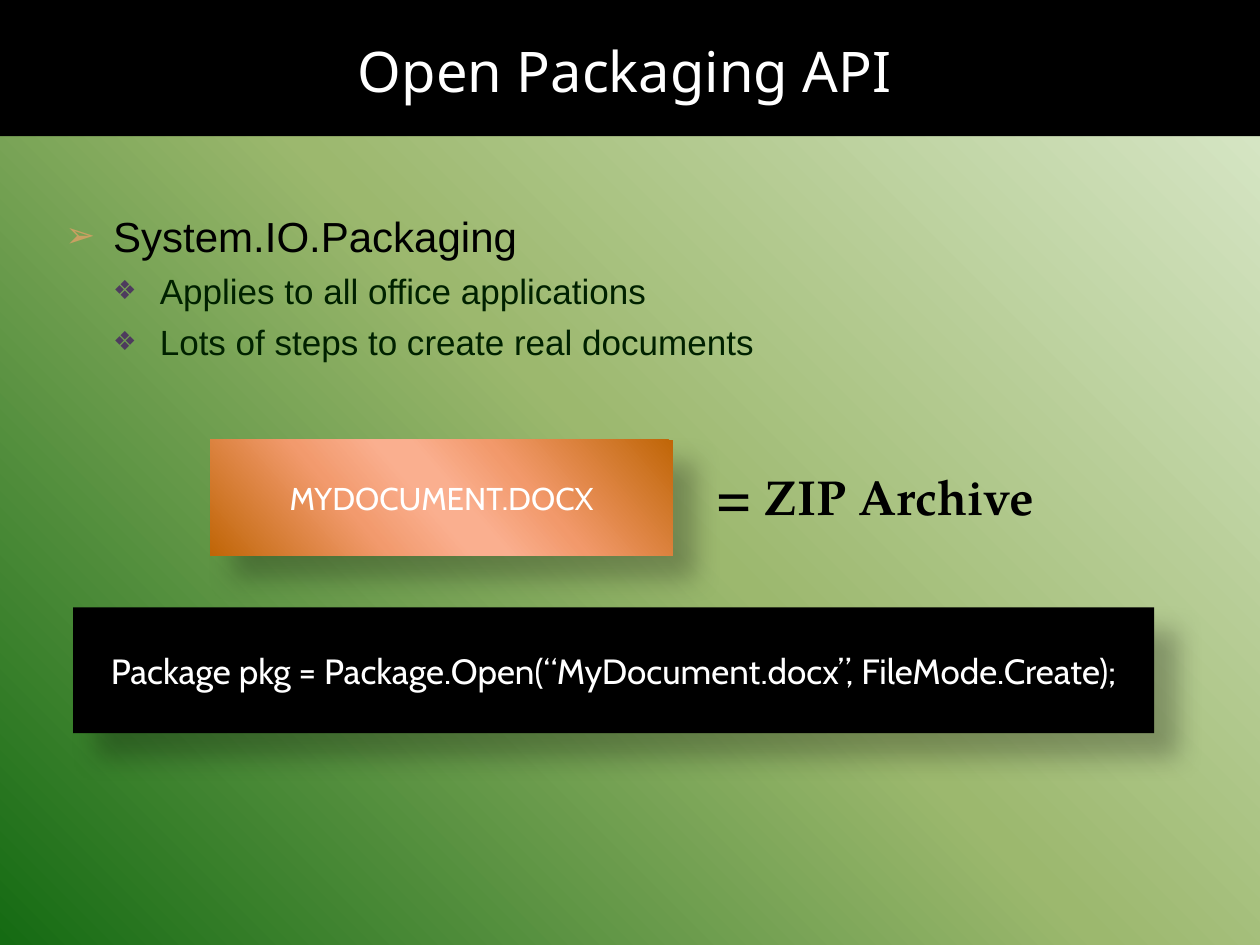
from dataclasses import dataclass

from lxml import etree
from pptx import Presentation
from pptx import util as u
from pptx.dml.color import RGBColor
from pptx.enum import shapes, text
from pptx.oxml.ns import qn


@dataclass(frozen=True)
class Theme:
    black: str = "000000"
    white: str = "FFFFFF"
    detail: str = "002100"
    arrow_bullet: str = "C9A062"
    diamond_bullet: str = "4E3B5E"
    backdrop: tuple = ((0, "DDEBCF"), (50, "9CB86E"), (100, "156B13"))
    copper: tuple = ((0, "C06607"), (33, "F2996B"), (47, "FAAF8F"),
                     (53, "FAAF8F"), (68, "F29A6D"), (100, "C06607"))
    heading_font: str = "Noto Sans"
    body_font: str = "Arial"
    box_font: str = "Cabin"
    serif_font: str = "TeX Gyre Pagella"
    heading_size: int = 32
    formula_size: int = 28
    topic_size: int = 24
    detail_size: int = 20
    file_size: int = 18


def add_xml(parent, tag, **attributes):
    element = etree.SubElement(parent, qn(tag))
    for name, value in attributes.items():
        element.set(name, str(value))
    return element


def write(paragraph, content, *, font, size, color, bold=False, align=None):
    paragraph.text = content
    paragraph.alignment = align
    paragraph.font.name = font
    paragraph.font.size = u.Pt(size)
    paragraph.font.bold = bold
    paragraph.font.color.rgb = RGBColor.from_string(color)


def paint(fill, paint_spec, angle=0):
    if isinstance(paint_spec, str):
        fill.solid()
        fill.fore_color.rgb = RGBColor.from_string(paint_spec)
        return
    fill.gradient()
    fill.gradient_angle = 360 - angle
    stops = fill.gradient_stops._gsLst
    for stop in list(stops):
        stops.remove(stop)
    for position, color in paint_spec:
        stop = add_xml(stops, "a:gs", pos=position * 1000)
        add_xml(stop, "a:srgbClr", val=color)


class SlideBuilder:
    def __init__(self, slide, theme):
        self.slide = slide
        self.theme = theme

    def backdrop(self):
        paint(self.slide.background.fill, self.theme.backdrop, 135)

    def place(self, left, top, width, height):
        return [u.Inches(length) for length in (left, top, width, height)]

    def box(self, bounds, fill, angle=0, shadow=False):
        box = self.slide.shapes.add_shape(
            shapes.MSO_SHAPE.RECTANGLE, *self.place(*bounds))
        paint(box.fill, fill, angle)
        box.line.fill.background()
        box.shadow.inherit = False
        if shadow:
            effects = box._element.spPr.find(qn("a:effectLst"))
            outer = add_xml(effects, "a:outerShdw", blurRad=u.Pt(15), dist=u.Pt(18),
                            dir=45 * 60000, algn="tl", rotWithShape=0)
            shade = add_xml(outer, "a:srgbClr", val=self.theme.black)
            add_xml(shade, "a:alpha", val=26000)
        return box

    def label_box(self, content, bounds, fill, size, angle=0):
        frame = self.box(bounds, fill, angle, shadow=True).text_frame
        frame.margin_left = frame.margin_right = 0
        frame.word_wrap = True
        frame.vertical_anchor = text.MSO_ANCHOR.MIDDLE
        write(frame.paragraphs[0], content, font=self.theme.box_font, size=size,
              color=self.theme.white, align=text.PP_ALIGN.CENTER)

    def heading(self, content, bounds):
        title = self.slide.shapes.title
        self.slide.shapes._spTree.append(title._element)
        title.left, title.top, title.width, title.height = self.place(*bounds)
        title.text_frame.vertical_anchor = text.MSO_ANCHOR.MIDDLE
        write(title.text_frame.paragraphs[0], content, font=self.theme.heading_font,
              size=self.theme.heading_size, color=self.theme.white,
              align=text.PP_ALIGN.CENTER)

    def text_frame(self, bounds):
        frame = self.slide.shapes.add_textbox(*self.place(*bounds)).text_frame
        frame.word_wrap = True
        return frame

    def formula(self, content, bounds):
        write(self.text_frame(bounds).paragraphs[0], content,
              font=self.theme.serif_font, size=self.theme.formula_size,
              color=self.theme.black, bold=True)

    def outline(self, topic, details, bounds):
        theme = self.theme
        frame = self.text_frame(bounds)
        first = frame.paragraphs[0]
        self.bullet(first, "➢", theme.arrow_bullet, 85, 0.38, 0.38)
        write(first, topic, font=theme.body_font, size=theme.topic_size,
              color=theme.black)
        for detail in details:
            item = frame.add_paragraph()
            item.level = 1
            item.space_before = u.Pt(5)
            self.bullet(item, "❖", theme.diamond_bullet, 75, 0.75, 0.37)
            write(item, detail, font=theme.body_font, size=theme.detail_size,
                  color=theme.detail)

    def bullet(self, paragraph, symbol, color, percent, margin, hanging):
        properties = paragraph._p.get_or_add_pPr()
        properties.set("marL", str(u.Inches(margin)))
        properties.set("indent", str(-u.Inches(hanging)))
        add_xml(add_xml(properties, "a:buClr"), "a:srgbClr", val=color)
        add_xml(properties, "a:buSzPct", val=percent * 1000)
        add_xml(properties, "a:buFont", typeface=self.theme.body_font)
        add_xml(properties, "a:buChar", char=symbol)


def main():
    deck = Presentation()
    deck.slide_width, deck.slide_height = u.Inches(10), u.Inches(7.5)
    theme = Theme()
    page = SlideBuilder(deck.slides.add_slide(deck.slide_layouts[5]), theme)
    page.backdrop()
    page.box((0, 0, 10, 1.08), theme.black)
    page.heading("Open Packaging API", (0.17, 0.17, 9.58, 0.78))
    page.outline("System.IO.Packaging",
                 ["Applies to all office applications",
                  "Lots of steps to create real documents"],
                 (0.42, 1.62, 9.08, 5.54))
    page.label_box("MYDOCUMENT.DOCX", (1.67, 3.49, 3.67, 0.92), theme.copper,
                   theme.file_size, angle=139)
    page.formula("= ZIP Archive", (5.58, 3.65, 3.25, 0.57))
    page.label_box("Package pkg = Package.Open(“MyDocument.docx”, FileMode.Create);",
                   (0.58, 4.82, 8.58, 1), theme.black, theme.detail_size)
    deck.save("out.pptx")


if __name__ == "__main__":
    main()
